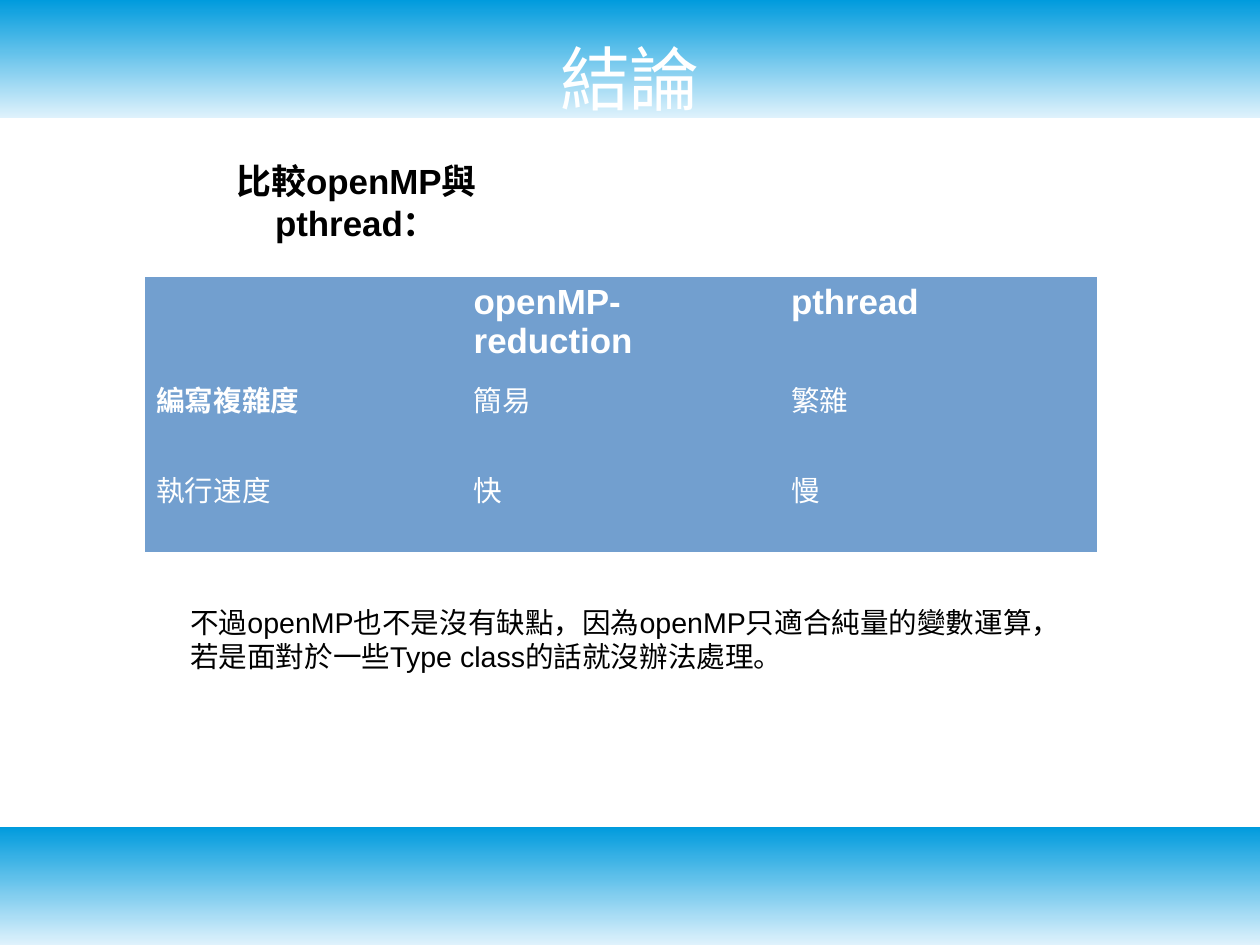
from pptx import Presentation
from pptx.dml.color import RGBColor
from pptx.enum.shapes import MSO_SHAPE
from pptx.enum.text import MSO_ANCHOR, MSO_AUTO_SIZE, PP_ALIGN
from pptx.oxml.ns import qn
from pptx.util import Pt

EMU_PER_PX = 8000
SLIDE_WIDTH, SLIDE_HEIGHT = 1260, 945
BAND_HEIGHT = 118
FONT = "Arial"
COLORS = {
    "band_dark": "009BDD",
    "band_light": "DFF2FC",
    "cell": "729FCF",
    "white": "FFFFFF",
    "black": "000000",
}
PLAIN_TABLE_STYLE = "{2D5ABB26-0587-4C30-8999-92F81FD0307C}"
COMPARISON = [
    ["", "openMP-reduction", "pthread"],
    ["編寫複雜度", "簡易", "繁雜"],
    ["執行速度", "快", "慢"],
]
BOLD_CELLS = {(0, 1), (0, 2), (1, 0)}


def px(length):
    return length * EMU_PER_PX


def color(name):
    return RGBColor.from_string(COLORS[name])


def format_text(text_frame, size, color_name, bold=False, align=PP_ALIGN.LEFT):
    for paragraph in text_frame.paragraphs:
        paragraph.alignment = align
        paragraph.font.name = FONT
        paragraph.font.size = Pt(size)
        paragraph.font.bold = bold
        paragraph.font.color.rgb = color(color_name)


def add_band(slide, top):
    band = slide.shapes.add_shape(
        MSO_SHAPE.RECTANGLE, 0, px(top), px(SLIDE_WIDTH), px(BAND_HEIGHT))
    band.shadow.inherit = False
    band.line.fill.background()
    band.fill.gradient()
    band.fill.gradient_angle = 90
    for stop, name in zip(band.fill.gradient_stops, ("band_light", "band_dark")):
        stop.color.rgb = color(name)
    # Keep the title in front of the bands
    slide.shapes.title.element.addprevious(band.element)


def set_title(slide, text):
    title = slide.shapes.title
    title.left, title.top, title.width, title.height = map(px, (63, 27, 1134, 101))
    frame = title.text_frame
    frame.text = text
    frame.vertical_anchor = MSO_ANCHOR.MIDDLE
    frame.auto_size = MSO_AUTO_SIZE.SHAPE_TO_FIT_TEXT
    frame.margin_left = frame.margin_right = 0
    frame.margin_top = frame.margin_bottom = 0
    format_text(frame, 44, "white", align=PP_ALIGN.CENTER)


def add_text(slide, box, text, size, bold=False, align=PP_ALIGN.LEFT):
    frame = slide.shapes.add_textbox(*map(px, box)).text_frame
    frame.text = text
    frame.word_wrap = True
    frame.auto_size = MSO_AUTO_SIZE.SHAPE_TO_FIT_TEXT
    format_text(frame, size, "black", bold, align)


def add_comparison_table(slide, box):
    graphic_frame = slide.shapes.add_table(
        len(COMPARISON), len(COMPARISON[0]), *map(px, box))
    # Style without borders or bands
    next(graphic_frame.element.iter(qn("a:tableStyleId"))).text = PLAIN_TABLE_STYLE
    table = graphic_frame.table
    table.first_row = table.horz_banding = False
    for row, texts in enumerate(COMPARISON):
        for column, text in enumerate(texts):
            cell = table.cell(row, column)
            cell.fill.solid()
            cell.fill.fore_color.rgb = color("cell")
            cell.text = text
            size = 22 if row == 0 else 18
            format_text(cell.text_frame, size, "white", (row, column) in BOLD_CELLS)


def main():
    presentation = Presentation()
    presentation.slide_width = px(SLIDE_WIDTH)
    presentation.slide_height = px(SLIDE_HEIGHT)
    slide = presentation.slides.add_slide(presentation.slide_layouts[5])

    # Header and footer
    for top in (0, SLIDE_HEIGHT - BAND_HEIGHT):
        add_band(slide, top)
    set_title(slide, "結論")

    # Comparison and remarks
    add_comparison_table(slide, (145, 277, 952, 270))
    add_text(slide, (179, 599, 893, 94),
             "不過openMP也不是沒有缺點，因為openMP只適合純量的變數運算，\n"
             "若是面對於一些Type class的話就沒辦法處理。", 18)
    add_text(slide, (144, 154, 425, 62), "比較openMP與pthread：", 22,
             bold=True, align=PP_ALIGN.CENTER)

    presentation.save("out.pptx")


if __name__ == "__main__":
    main()
